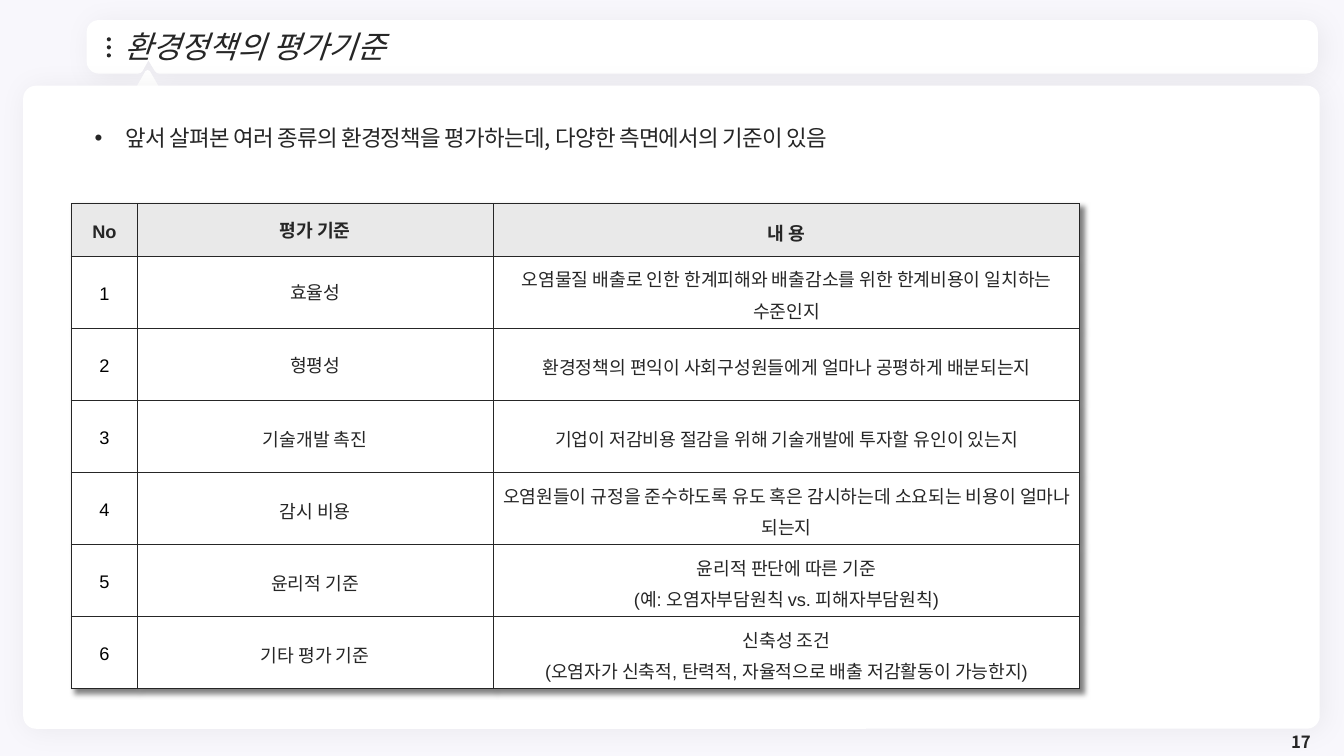
import math
from lxml import etree
from pptx import Presentation
from pptx.dml.color import RGBColor
from pptx.enum.shapes import MSO_SHAPE
from pptx.enum.text import MSO_ANCHOR, MSO_AUTO_SIZE, PP_ALIGN
from pptx.oxml.ns import qn
from pptx.util import Inches, Pt

OVAL, TRIANGLE, ROUND = MSO_SHAPE.OVAL, MSO_SHAPE.ISOSCELES_TRIANGLE, MSO_SHAPE.ROUNDED_RECTANGLE
MIDDLE, TOP = MSO_ANCHOR.MIDDLE, MSO_ANCHOR.TOP
LEFT, CENTER, RIGHT = PP_ALIGN.LEFT, PP_ALIGN.CENTER, PP_ALIGN.RIGHT
NO_FIT = MSO_AUTO_SIZE.NONE

COLORS = {"back": "F8F7FC", "card": "FFFFFF", "ink": "262626", "head": "E9E9E9", "black": "000000"}
SANS, LATIN = "Noto Sans CJK KR", "Arial"
ROWS = [
    ("No", "평가 기준", "내 용"),
    ("1", "효율성", "오염물질 배출로 인한 한계피해와 배출감소를 위한 한계비용이 일치하는 수준인지"),
    ("2", "형평성", "환경정책의 편익이 사회구성원들에게 얼마나 공평하게 배분되는지"),
    ("3", "기술개발 촉진", "기업이 저감비용 절감을 위해 기술개발에 투자할 유인이 있는지"),
    ("4", "감시 비용", "오염원들이 규정을 준수하도록 유도 혹은 감시하는데 소요되는 비용이 얼마나 되는지"),
    ("5", "윤리적 기준", "윤리적 판단에 따른 기준\n(예: 오염자부담원칙 vs. 피해자부담원칙)"),
    ("6", "기타 평가 기준", "신축성 조건\n(오염자가 신축적, 탄력적, 자율적으로 배출 저감활동이 가능한지)"),
]


def rgb(name):
    return RGBColor.from_string(COLORS[name])


def inches(box):
    return [Inches(v) for v in box]


def node(parent, tag, **attrs):
    return etree.SubElement(parent, qn(tag), {k: str(v) for k, v in attrs.items()})


def shade(effects, blur, dist, alpha):
    outer = node(effects, "a:outerShdw", blurRad=Pt(blur), dist=Pt(dist), dir=45 * 60000,
                 algn="tl", rotWithShape=0)
    color = node(outer, "a:srgbClr", val=COLORS["black"])
    node(color, "a:alpha", val=alpha * 1000)


def paint(shape, fill, line=0, soft=False):
    shape.fill.solid()
    shape.fill.fore_color.rgb = rgb(fill)
    if line:
        shape.line.width = Pt(line)
        shape.line.color.rgb = rgb(fill)
    else:
        shape.line.fill.background()
    shape.shadow.inherit = False
    if soft:
        shade(shape._element.spPr.find(qn("a:effectLst")), 20, 3, 5)


def write(frame, text, size, color="ink", face=SANS, align=LEFT, spacing=1.0, **extra):
    frame.text = text
    for para in frame.paragraphs:
        para.alignment, para.line_spacing = align, spacing
        for run in para.runs:
            run.font.color.rgb = rgb(color)
            for key, value in {"size": Pt(size), "name": face, **extra}.items():
                setattr(run.font, key, value)
            node(run.font._element, "a:ea", typeface=SANS)


def text_box(slide, box, text, size, anchor=TOP, **extra):
    frame = slide.shapes.add_textbox(*inches(box)).text_frame
    frame.word_wrap, frame.vertical_anchor = True, anchor
    write(frame, text, size, **extra)
    return frame.paragraphs[0]


def title_bar(slide, box, title):
    x, y, w, h = box
    right, low, r = x + w, y + h, 0.07
    # Bar outline: rounded corners and a notch in the lower edge
    points = []
    corners = [(x + r, y + r, 180), (right - r, y + r, 270), (right - r, low - r, 0), (x + r, low - r, 90)]
    for cx, cy, start in corners:
        if start == 90:
            points += [(x + 0.67, low), (x + 0.56, low - 0.18), (x + 0.46, low)]
        for step in range(7):
            turn = math.radians(start + step * 15)
            points.append((cx + r * math.cos(turn), cy + r * math.sin(turn)))
    points = [inches(p) for p in points]
    pen = slide.shapes.build_freeform(*points[0])
    pen.add_line_segments(points[1:], close=True)
    paint(pen.convert_to_shape(), "card", 7.25, soft=True)
    # Three dots
    for i in range(3):
        dot = slide.shapes.add_shape(OVAL, *inches((x + 0.15, y + 0.12 + i * 0.08, 0.04, 0.04)))
        paint(dot, "ink")
    # Pointer between bar and card
    tip = slide.shapes.add_shape(TRIANGLE, *inches((x + 0.44, low + 0.04, 0.23, 0.2)))
    paint(tip, "card", 3.75)
    # Title, brought in front of the bar
    holder = slide.shapes.title
    place = inches((x + 0.22, y + 0.1, w - 0.7, 0.26))
    for key, value in zip(("left", "top", "width", "height"), place):
        setattr(holder, key, value)
    frame = holder.text_frame
    frame.vertical_anchor, frame.auto_size, frame.word_wrap = MIDDLE, NO_FIT, True
    write(frame, title, 22, spacing=0.9, italic=True)
    slide.shapes._spTree.append(holder._element)


def card(slide, box):
    shape = slide.shapes.add_shape(ROUND, *inches(box))
    shape.adjustments[0] = 0.02
    paint(shape, "card", soft=True)


def bullet(slide, box, text):
    para = text_box(slide, box, text, 16, spacing=1.5)
    props = para._p.get_or_add_pPr()
    props.set("marL", str(Inches(0.41)))
    props.set("indent", str(Inches(-0.31)))
    node(props, "a:buFont", typeface=LATIN)
    node(props, "a:buChar", char="•")
    para.runs[0].font._element.set("spc", "-50")


def borders(cell, outer):
    props = cell._tc.get_or_add_tcPr()
    for i, (side, edge) in enumerate(zip("LRTB", outer)):
        line = node(props, f"a:ln{side}", w=Pt(1 if edge else 0.5))
        node(node(line, "a:solidFill"), "a:srgbClr", val=COLORS["ink"])
        props.insert(i, line)


def criteria(slide, box, widths, head):
    count = len(ROWS)
    table = slide.shapes.add_table(count, len(widths), *inches(box)).table
    table.horz_banding = False
    effects = etree.Element(qn("a:effectLst"))
    shade(effects, 4, 4, 50)
    table._tbl.tblPr.insert(0, effects)
    for column, width in zip(table.columns, widths):
        column.width = Inches(width)
    for r, texts in enumerate(ROWS):
        table.rows[r].height = Inches(head if r == 0 else (box[3] - head) / (count - 1))
        for c, text in enumerate(texts):
            cell = table.cell(r, c)
            cell.fill.solid()
            cell.fill.fore_color.rgb = rgb("card" if r else "head")
            cell.vertical_anchor = MIDDLE
            cell.margin_left = cell.margin_right = Inches(0.07)
            cell.margin_top = cell.margin_bottom = Inches(0.02)
            write(cell.text_frame, text, 13, "black" if r and c == 0 else "ink", LATIN, CENTER,
                  1.0 if c == 1 and r < 3 else 1.2, bold=r == 0)
            borders(cell, (c == 0, c == len(widths) - 1, r == 0, r == count - 1))


def main():
    deck = Presentation()
    deck.slide_width, deck.slide_height = Inches(13.33), Inches(7.5)
    slide = deck.slides.add_slide(deck.slide_layouts[5])
    slide.background.fill.solid()
    slide.background.fill.fore_color.rgb = rgb("back")
    title_bar(slide, (0.91, 0.25, 12.11, 0.43), "환경정책의 평가기준")
    card(slide, (0.23, 0.85, 12.86, 6.38))
    text_box(slide, (10.1, 7.23, 3, 0.26), "17", 12, MIDDLE, align=RIGHT, bold=True)
    criteria(slide, (0.71, 2.02, 10, 4.81), (0.65, 3.53, 5.82), 0.52)
    bullet(slide, (0.74, 1.05, 12.06, 0.45),
           "앞서 살펴본 여러 종류의 환경정책을 평가하는데, 다양한 측면에서의 기준이 있음")
    deck.save("out.pptx")


if __name__ == "__main__":
    main()
